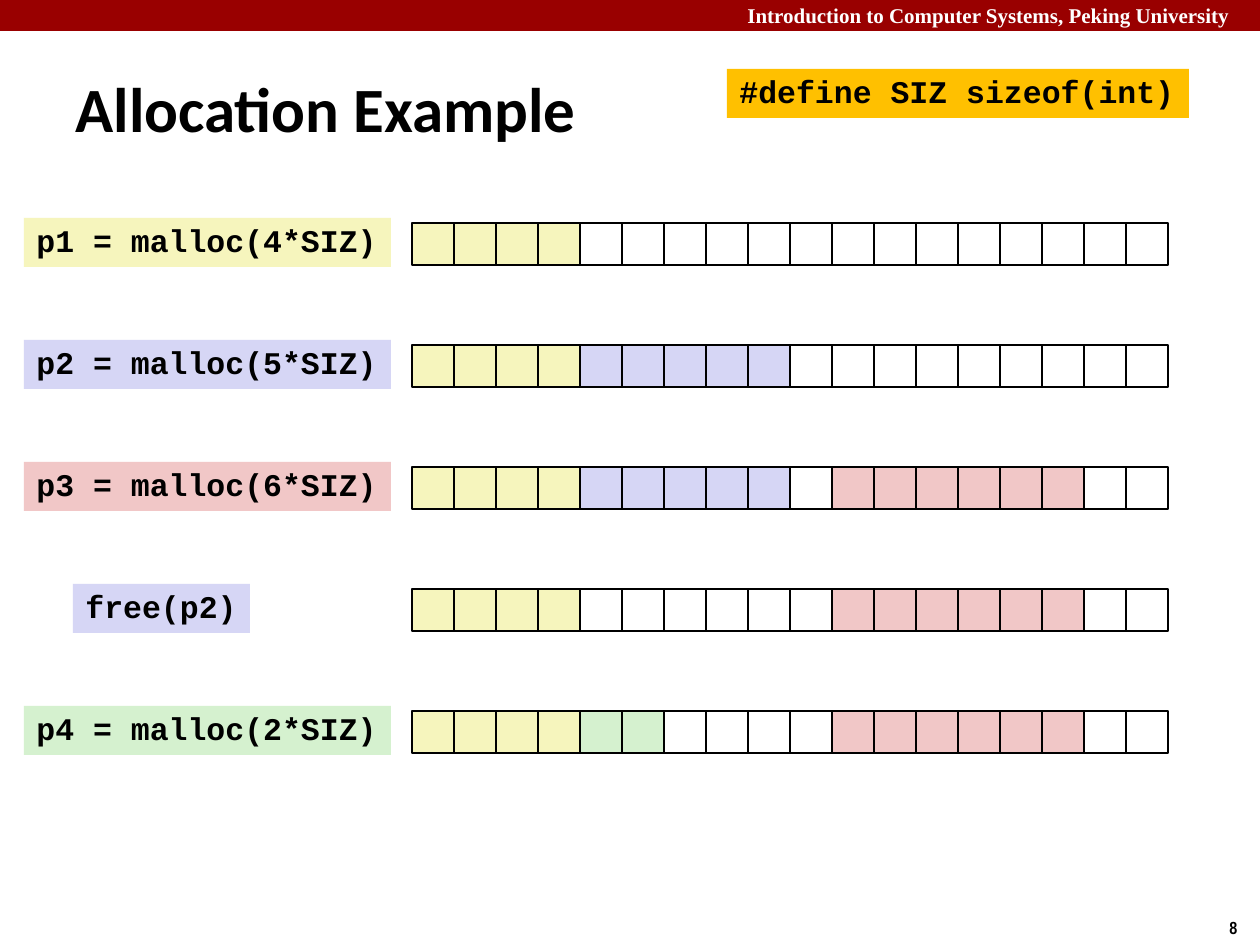
from pptx import Presentation
from pptx.dml.color import RGBColor
from pptx.enum.shapes import MSO_SHAPE
from pptx.enum.text import MSO_ANCHOR, PP_ALIGN
from pptx.util import Pt

RECT = MSO_SHAPE.RECTANGLE
LEFT = PP_ALIGN.LEFT
TOP, MIDDLE = MSO_ANCHOR.TOP, MSO_ANCHOR.MIDDLE
SCALE = 914400 / 126  # EMU per px

COLORS = {
    "band": "990000", "gold": "FFC000", "black": "000000", "white": "FFFFFF",
    "p1": "F6F5BD", "p2": "D6D6F5", "p3": "F1C7C7", "p4": "D5F1CF",
}


def px(*nums):
    return [round(n * SCALE) for n in nums]


def write(shape, text, font="Courier New", size=18, color="black",
          anchor=TOP, wrap=False, space=None):
    frame = shape.text_frame
    frame.word_wrap = wrap
    frame.vertical_anchor = anchor
    frame.text = text
    para = frame.paragraphs[0]
    para.alignment = LEFT
    para.line_spacing = space
    para.font.name = font
    para.font.size = Pt(size)
    para.font.bold = True
    para.font.color.rgb = RGBColor.from_string(COLORS[color])


prs = Presentation()
prs.slide_width, prs.slide_height = px(1260, 945)
slide = prs.slides.add_slide(prs.slide_layouts[5])
shapes = slide.shapes

# Header band and slide number
band = shapes.add_shape(RECT, *px(0, 0, 1260, 31))
band.shadow.inherit = False
band.fill.solid()
band.fill.fore_color.rgb = RGBColor.from_string(COLORS["band"])
band.line.fill.background()
head = shapes.add_textbox(*px(735, -4, 534, 38))
write(head, "Introduction to Computer Systems, Peking University",
      font="Times New Roman", size=12, color="white", wrap=True)
number = shapes.add_textbox(*px(1217, 911, 43, 34))
write(number, "8", font="Arial Narrow", size=10)

# Title
title = shapes.title
title.left, title.top, title.width, title.height = px(63, 68, 891, 79)
write(title, "Allocation Example", font="Calibri", size=36,
      anchor=MIDDLE, wrap=True)

# Code labels: text, fill, left, top, width
FIRST, PITCH = 218, 122
labels = [
    ("p1 = malloc(4*SIZ)", "p1", 24, FIRST, 367),
    ("p2 = malloc(5*SIZ)", "p2", 24, FIRST + PITCH, 367),
    ("p3 = malloc(6*SIZ)", "p3", 24, FIRST + 2 * PITCH, 367),
    ("free(p2)", "p2", 73, FIRST + 3 * PITCH, 177),
    ("p4 = malloc(2*SIZ)", "p4", 24, FIRST + 4 * PITCH, 367),
    ("#define SIZ sizeof(int)", "gold", 727, 69, 462),
]
for text, fill, left, top, width in labels:
    label = shapes.add_shape(RECT, *px(left, top, width, 49))
    label.shadow.inherit = False
    label.fill.solid()
    label.fill.fore_color.rgb = RGBColor.from_string(COLORS[fill])
    label.line.fill.background()
    write(label, text, space=0.94)

# Heap after each call: runs of (block, cell count)
CELL = 42
heaps = [
    [("p1", 4), ("white", 14)],
    [("p1", 4), ("p2", 5), ("white", 9)],
    [("p1", 4), ("p2", 5), (None, 1), ("p3", 6), ("white", 2)],
    [("p1", 4), ("white", 5), (None, 1), ("p3", 6), ("white", 2)],
    [("p1", 4), ("p4", 2), ("white", 3), (None, 1), ("p3", 6), ("white", 2)],
]
for row, heap in enumerate(heaps):
    group = shapes.add_group_shape()
    blocks = [block for block, count in heap for _ in range(count)]
    for col, block in enumerate(blocks):
        cell = group.shapes.add_shape(
            RECT, *px(412 + col * CELL, 223 + row * PITCH, CELL, CELL))
        cell.shadow.inherit = False
        if block:
            cell.fill.solid()
            cell.fill.fore_color.rgb = RGBColor.from_string(COLORS[block])
        else:
            cell.fill.background()
        cell.line.color.rgb = RGBColor.from_string(COLORS["black"])
        cell.line.width = Pt(1)

prs.save("out.pptx")
